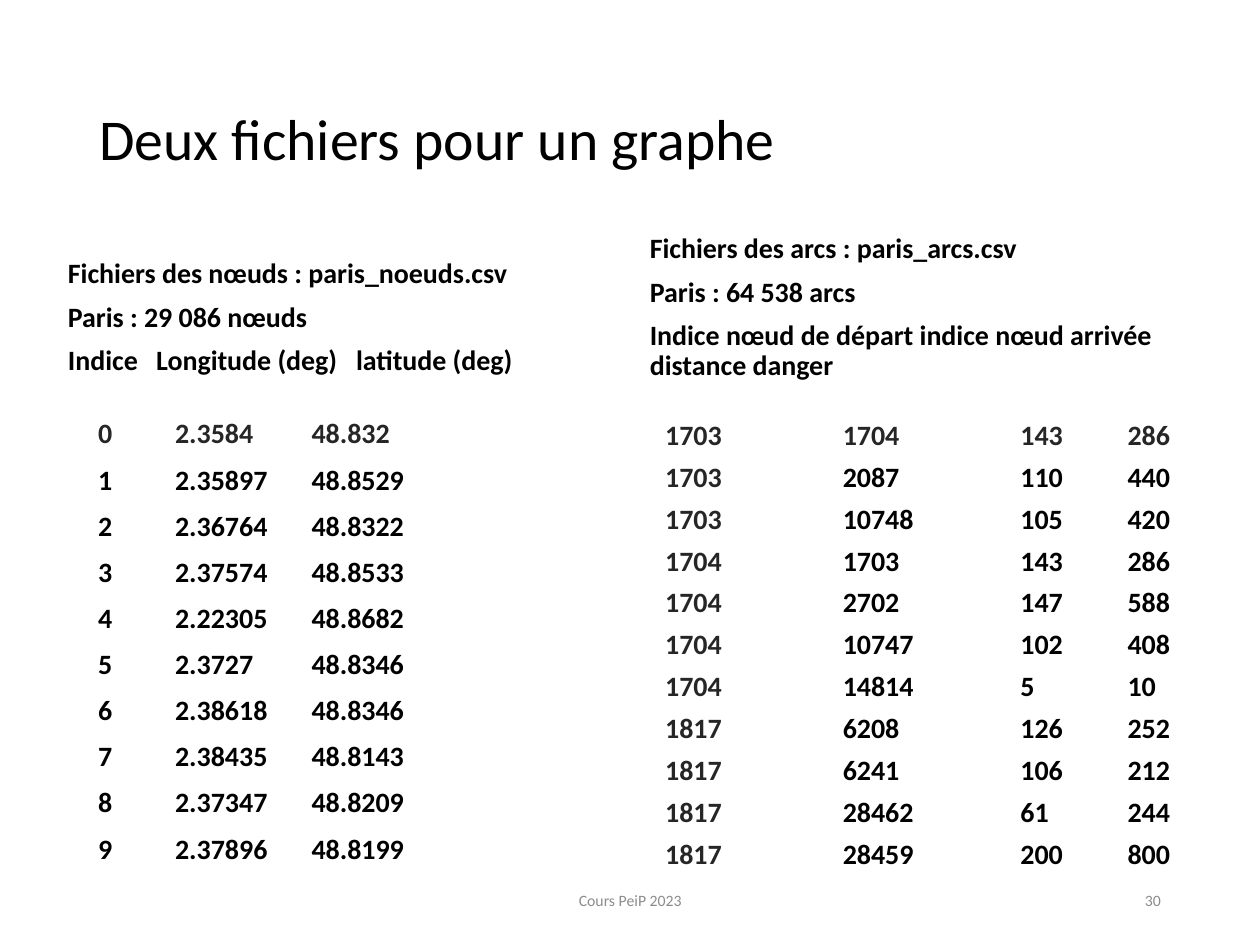
from lxml.etree import SubElement
from pptx import Presentation
from pptx.dml.color import RGBColor
from pptx.enum.text import MSO_ANCHOR, PP_ALIGN
from pptx.oxml.ns import qn
from pptx.util import Cm, Pt

BLACK, DARK, GRAY = "000000", "262626", "8C8C8C"

NODES = [
    ("0", "2.3584", "48.832"),
    ("1", "2.35897", "48.8529"),
    ("2", "2.36764", "48.8322"),
    ("3", "2.37574", "48.8533"),
    ("4", "2.22305", "48.8682"),
    ("5", "2.3727", "48.8346"),
    ("6", "2.38618", "48.8346"),
    ("7", "2.38435", "48.8143"),
    ("8", "2.37347", "48.8209"),
    ("9", "2.37896", "48.8199"),
]
ARCS = [
    (1703, 1704, 143, 286),
    (1703, 2087, 110, 440),
    (1703, 10748, 105, 420),
    (1704, 1703, 143, 286),
    (1704, 2702, 147, 588),
    (1704, 10747, 102, 408),
    (1704, 14814, 5, 10),
    (1817, 6208, 126, 252),
    (1817, 6241, 106, 212),
    (1817, 28462, 61, 244),
    (1817, 28459, 200, 800),
]


def color(value):
    """Return the colour for a hex string."""
    return RGBColor.from_string(value)


def add_run(p, text, size, fill=BLACK, bold=False):
    """Add one formatted run to a paragraph."""
    r = p.add_run()
    r.text = text
    r.font.name = "Calibri"
    r.font.size = Pt(size)
    r.font.bold = bold
    r.font.color.rgb = color(fill)


def set_tabs(p, stops):
    """Give a paragraph left tab stops, in centimetres."""
    tabs = SubElement(p._p.get_or_add_pPr(), qn("a:tabLst"))
    for stop in stops:
        SubElement(tabs, qn("a:tab"), pos=str(Cm(stop)), algn="l")


def add_text(s, box, lines, size, anchor=MSO_ANCHOR.MIDDLE, align=PP_ALIGN.LEFT,
             fill=BLACK, bold=False, spacing=None, before=0, tabs=()):
    """Place a text box with one paragraph per line."""
    tf = s.shapes.add_textbox(*map(Cm, box)).text_frame
    tf.word_wrap = True
    tf.vertical_anchor = anchor
    for i, line in enumerate(lines):
        p = tf.paragraphs[0] if i == 0 else tf.add_paragraph()
        if "\t" in line:
            set_tabs(p, tabs)
        p.alignment = align
        p.line_spacing = spacing
        if i:
            p.space_before = Pt(before)
        add_run(p, line, size, fill, bold)


def add_data(s, box, rows, widths, anchor, dark_columns=0, tabs=()):
    """Place a plain table whose first row and leading columns are dark gray."""
    table = s.shapes.add_table(len(rows), len(widths), *map(Cm, box)).table
    table.first_row = table.horz_banding = False
    for column, width in zip(table.columns, widths):
        column.width = Cm(width)
    for i, values in enumerate(rows):
        table.rows[i].height = Cm(box[3] / len(rows))
        for j, value in enumerate(values):
            cell = table.cell(i, j)
            cell.fill.background()
            cell.vertical_anchor = anchor
            cell.margin_left = cell.margin_right = Cm(0.05)
            cell.margin_top = cell.margin_bottom = Cm(0.05)
            p = cell.text_frame.paragraphs[0]
            if tabs:
                set_tabs(p, tabs)
            fill = DARK if i == 0 or j < dark_columns else BLACK
            add_run(p, str(value), 16, fill, True)


def add_heading(s, box, lines, tabs=()):
    """Place the bold description of a file."""
    add_text(s, box, lines, 16, MSO_ANCHOR.BOTTOM, bold=True,
             spacing=0.9, before=7.5, tabs=tabs)


def add_nodes(s, x, y):
    """Place the node file panel."""
    add_heading(s, (x, y, 12.24, 3.12), [
        "Fichiers des nœuds : paris_noeuds.csv",
        "Paris : 29 086 nœuds",
        "Indice\tLongitude (deg)\tlatitude (deg)",
    ], (1.78, 5.81))
    rows = [("\t".join(node),) for node in NODES]
    add_data(s, (x + 0.81, y + 3.76, 8.94, 9.3), rows, [8.94],
             MSO_ANCHOR.TOP, tabs=(1.55, 4.3))


def add_arcs(s, x, y):
    """Place the arc file panel."""
    add_heading(s, (x, y, 11.96, 3.12), [
        "Fichiers des arcs : paris_arcs.csv",
        "Paris : 64 538 arcs",
        "Indice nœud de départ indice nœud arrivée distance danger",
    ])
    add_data(s, (x + 0.51, y + 3.66, 11.48, 9.3), ARCS, [3.58, 3.58, 2.16, 2.16],
             MSO_ANCHOR.MIDDLE, dark_columns=1)


def add_footer(s, y):
    """Place the course name and the slide number."""
    add_text(s, (8.41, y, 8.59, 1.01), ["Cours PeiP 2023"], 9,
             align=PP_ALIGN.CENTER, fill=GRAY)
    add_text(s, (17.93, y, 5.72, 1.01), ["30"], 9, align=PP_ALIGN.RIGHT, fill=GRAY)


def main():
    """Build and save the slide."""
    prs = Presentation()
    prs.slide_width, prs.slide_height = Cm(25.4), Cm(19.05)
    s = prs.slides.add_slide(prs.slide_layouts[6])
    add_text(s, (1.75, 1.02, 21.89, 3.68), ["Deux fichiers pour un graphe"], 33,
             spacing=0.9)
    add_nodes(s, 1.12, 4.6)
    add_arcs(s, 12.85, 4.7)
    add_footer(s, 17.65)
    prs.save("out.pptx")


if __name__ == "__main__":
    main()
